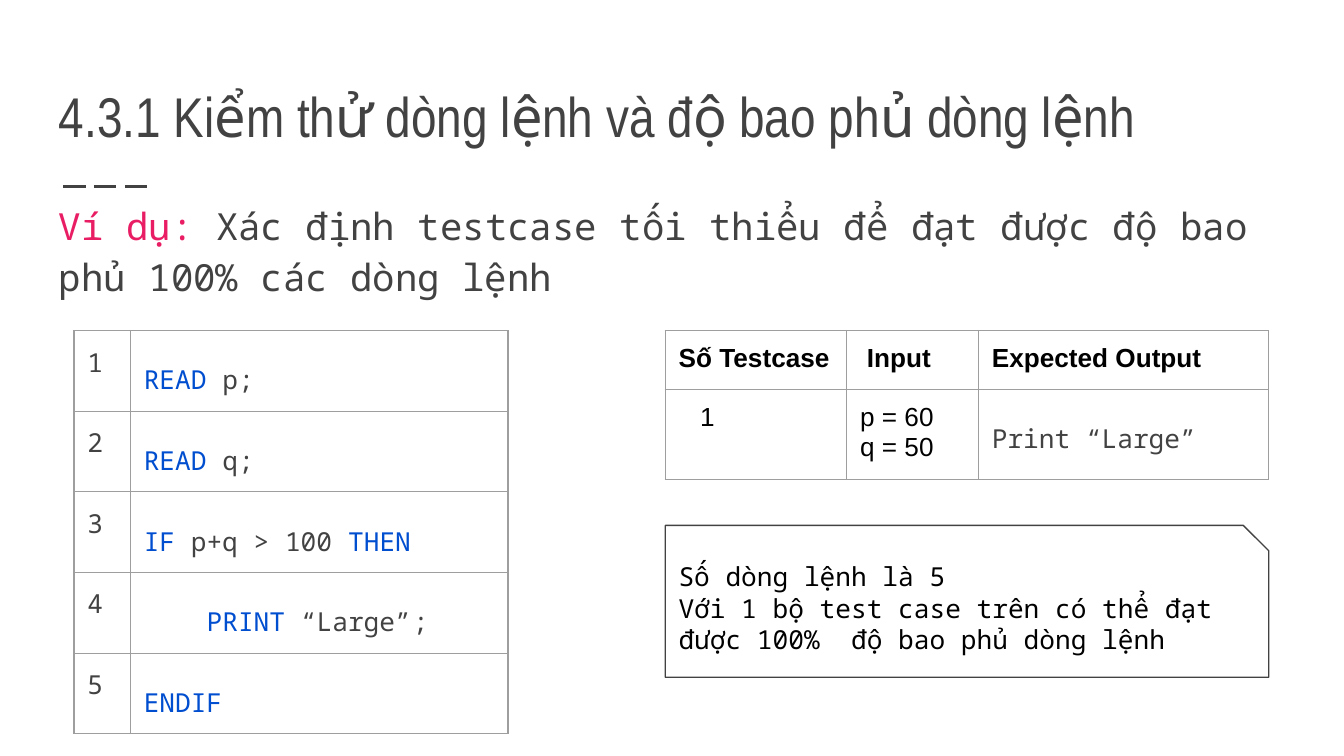
from lxml import etree
from pptx import Presentation
from pptx.dml.color import RGBColor
from pptx.enum.dml import MSO_LINE
from pptx.enum.lang import MSO_LANGUAGE_ID
from pptx.enum.shapes import MSO_CONNECTOR, MSO_SHAPE
from pptx.enum.text import MSO_ANCHOR, PP_ALIGN
from pptx.oxml import parse_xml
from pptx.oxml.ns import nsdecls, qn
from pptx.util import Inches, Pt

TOP, MIDDLE, BOTTOM = MSO_ANCHOR.TOP, MSO_ANCHOR.MIDDLE, MSO_ANCHOR.BOTTOM
LEFT = PP_ALIGN.LEFT
VIETNAMESE = MSO_LANGUAGE_ID.VIETNAMESE
MONO, SANS, NARROW = "Noto Sans Mono", "Arial", "Arial Narrow"
DARK, BLUE, PINK, BLACK, WHITE, GREY = (
    "424242", "004ED0", "E91D63", "000000", "FFFFFF", "9E9E9E")

# Content: a paragraph is a list of (text, colour) spans
TITLE = [("4.3.1 Kiểm thử dòng lệnh và độ bao phủ dòng lệnh", DARK)]
TASK = [("Ví dụ: ", PINK),
        ("Xác định testcase tối thiểu để đạt được độ bao phủ 100% các dòng lệnh", DARK)]
CODE = [
    [("READ", BLUE), (" p;", DARK)],
    [("READ", BLUE), (" q;", DARK)],
    [("IF", BLUE), (" p+q > 100 ", DARK), ("THEN", BLUE)],
    [("    ", DARK), ("PRINT", BLUE), (" “Large”\t;", DARK)],
    [("ENDIF", BLUE)],
]
# Header text and its indent in inches
HEADERS = [("Số Testcase", 0), ("Input", 0.05), ("Expected Output", 0)]
NOTE = ["Số dòng lệnh là 5",
        "Với 1 bộ test case trên có thể đạt được 100%  độ bao phủ dòng lệnh"]

# Layout, in inches
WIDTH = 10
HEIGHT = WIDTH * 9 / 16
MARGIN = 0.34
TEXT_WIDTH = WIDTH - 2 * MARGIN
TABLE_TOP = 2.46
CODE_LEFT, CODE_COLUMNS, CODE_ROWS = 0.55, [0.42, 2.81], [0.6] * len(CODE)
CASE_LEFT, CASE_COLUMNS, CASE_ROWS = 4.95, [1.35, 0.98, 2.16], [0.44, 0.63]
INSET = Inches(0.1)


def rgb(value):
    return RGBColor.from_string(value)


def write(frame, paragraphs, size, font, bold=False, spacing=None, indent=0):
    for index, spans in enumerate(paragraphs):
        para = frame.paragraphs[0] if index == 0 else frame.add_paragraph()
        para.alignment = LEFT
        if spacing:
            para.line_spacing = spacing
        if indent:
            para._p.get_or_add_pPr().set("marL", str(Inches(indent)))
        for text, colour in spans:
            span = para.add_run()
            span.text = text
            span.font.size, span.font.name, span.font.bold = Pt(size), font, bold
            span.font.language_id = VIETNAMESE
            span.font.color.rgb = rgb(colour)


def prepare(frame, anchor):
    frame.word_wrap = True
    frame.vertical_anchor = anchor
    frame.margin_left = frame.margin_right = INSET
    frame.margin_top = frame.margin_bottom = INSET
    return frame


def add_text(slide, top, height, anchor, spans, size, font, spacing=None):
    box = slide.shapes.add_textbox(
        Inches(MARGIN), Inches(top), Inches(TEXT_WIDTH), Inches(height))
    write(prepare(box.text_frame, anchor), [spans], size, font, spacing=spacing)


def add_grid(slide, left, columns, rows):
    table = slide.shapes.add_table(
        len(rows), len(columns), Inches(left), Inches(TABLE_TOP),
        Inches(sum(columns)), Inches(sum(rows))).table
    table.first_row = table.horz_banding = False
    for column, width in zip(table.columns, columns):
        column.width = Inches(width)
    for row, height in zip(table.rows, rows):
        row.height = Inches(height)
    for cell in table.iter_cells():
        cell.margin_left = cell.margin_right = INSET
        cell.margin_top = cell.margin_bottom = INSET
        cell.vertical_anchor = TOP
        for side in ("lnL", "lnR", "lnT", "lnB"):
            cell._tc.get_or_add_tcPr().append(parse_xml(
                f'<a:{side} {nsdecls("a")} w="{Pt(0.75)}"><a:solidFill>'
                f'<a:srgbClr val="{GREY}"/></a:solidFill></a:{side}>'))
        cell.fill.background()
    return table


def main():
    deck = Presentation()
    deck.slide_width, deck.slide_height = Inches(WIDTH), Inches(HEIGHT)
    slide = deck.slides.add_slide(deck.slide_layouts[6])

    # Dashed rule under the title
    rule = slide.shapes.add_connector(
        MSO_CONNECTOR.STRAIGHT, Inches(0.47), Inches(1.39), Inches(1.14), Inches(1.39))
    rule.line.color.rgb = rgb(DARK)
    rule.line.width = Pt(1.5)
    rule.line.dash_style = MSO_LINE.LONG_DASH
    etree.SubElement(rule._element.spPr, qn("a:effectLst"))

    # Title and task
    add_text(slide, 0.41, 0.8, BOTTOM, TITLE, 30, NARROW)
    add_text(slide, 1.36, 4.07, TOP, TASK, 20, MONO, 1.15)

    # Numbered code lines
    code = add_grid(slide, CODE_LEFT, CODE_COLUMNS, CODE_ROWS)
    for index, spans in enumerate(CODE):
        write(code.cell(index, 0).text_frame, [[(str(index + 1), DARK)]], 14, MONO)
        write(code.cell(index, 1).text_frame, [spans], 14, MONO, spacing=1.5)

    # Test case table
    cases = add_grid(slide, CASE_LEFT, CASE_COLUMNS, CASE_ROWS)
    for column, (header, indent) in enumerate(HEADERS):
        write(cases.cell(0, column).text_frame, [[(header, BLACK)]], 14, SANS,
              bold=True, indent=indent)
    number, given, expected = (cases.cell(1, column).text_frame for column in range(3))
    write(number, [[("1", BLACK)]], 14, SANS, indent=0.16)
    write(given, [[("p = 60", BLACK)], [("q = 50", BLACK)]], 14, SANS)
    write(expected, [[("Print “Large”", DARK)]], 14, MONO, spacing=1.5)

    # Conclusion
    note = slide.shapes.add_shape(
        MSO_SHAPE.SNIP_1_RECTANGLE, Inches(CASE_LEFT), Inches(3.91),
        Inches(sum(CASE_COLUMNS)), Inches(1.13))
    note.adjustments[0] = 0.167
    note.shadow.inherit = False
    note.fill.solid()
    note.fill.fore_color.rgb = rgb(WHITE)
    note.line.color.rgb = rgb(DARK)
    note.line.width = Pt(0.75)
    write(prepare(note.text_frame, MIDDLE), [[(line, BLACK)] for line in NOTE], 14, MONO)

    deck.save("out.pptx")


if __name__ == "__main__":
    main()
